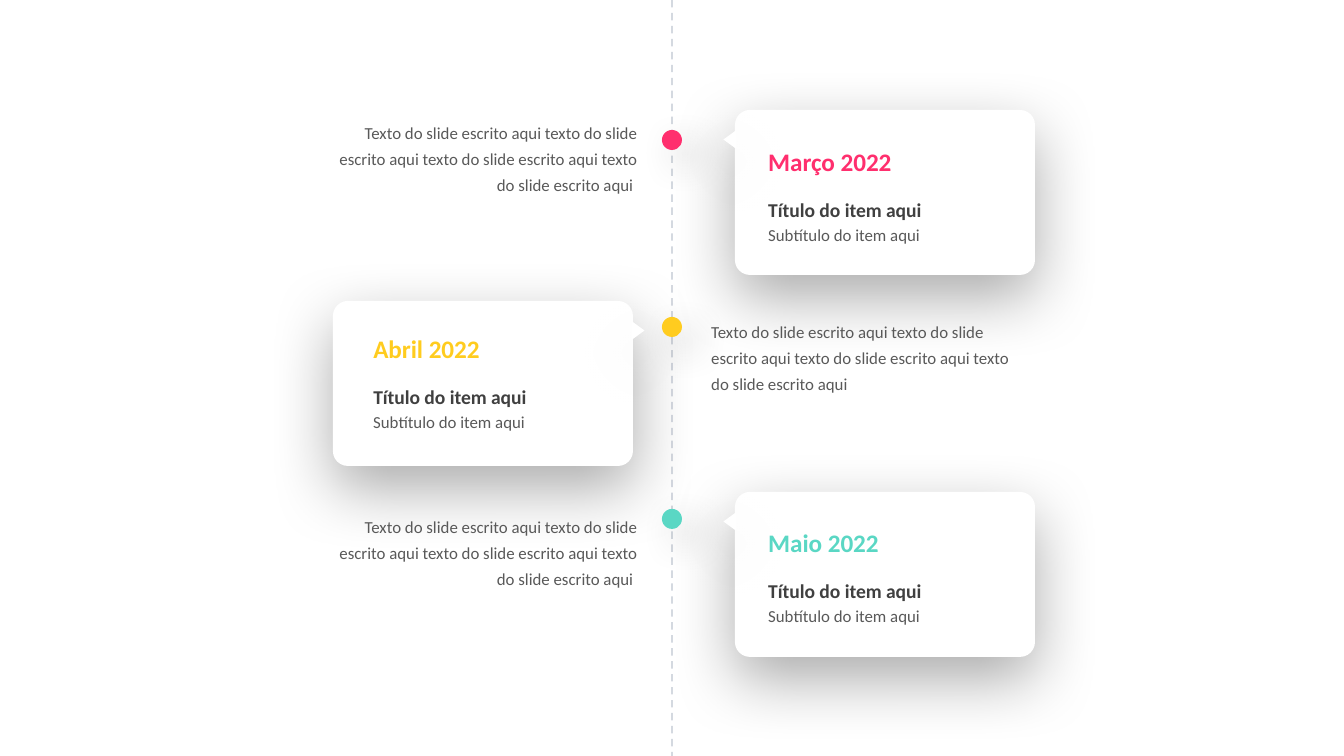
from dataclasses import dataclass

from lxml import etree
from pptx import Presentation
from pptx.dml.color import RGBColor
from pptx.enum.dml import MSO_LINE_DASH_STYLE as DASH
from pptx.enum.shapes import MSO_CONNECTOR, MSO_SHAPE
from pptx.enum.text import MSO_AUTO_SIZE, PP_ALIGN
from pptx.oxml.ns import qn
from pptx.util import Emu, Pt

SLIDE_W, SLIDE_H = 1344, 756
EMU_PER_PX = 9144000 / SLIDE_W

WHITE = RGBColor(0xFF, 0xFF, 0xFF)
NAVY = RGBColor(0x2C, 0x41, 0x66)
PINK = RGBColor(0xFF, 0x2F, 0x6E)
YELLOW = RGBColor(0xFF, 0xCC, 0x1F)
TEAL = RGBColor(0x5A, 0xD7, 0xC4)
DARK = RGBColor(0x40, 0x40, 0x40)
GRAY = RGBColor(0x59, 0x59, 0x59)

FONT = "Calibri"
AXIS_X = SLIDE_W // 2
CARD_W, CARD_H = 300, 165
POINTER_W, POINTER_H = 19, 13
DOT = 20
BODY = " ".join(["Texto do slide escrito aqui"] + ["texto do slide escrito aqui"] * 3)


@dataclass(frozen=True)
class Shadow:
    alpha: int  # percent
    blur: int  # points
    dist: int  # points
    angle: int  # degrees


@dataclass(frozen=True)
class Milestone:
    month: str
    color: RGBColor
    on_right: bool
    card_y: int
    dot_y: int
    heading_y: int
    body_y: int


CARD_SHADOW = Shadow(32, 35, 12, 90)
DOT_SHADOW = Shadow(23, 20, 10, 45)

MILESTONES = [
    Milestone("Março 2022", PINK, True, 110, 130, 140, 110),
    Milestone("Abril 2022", YELLOW, False, 301, 317, 327, 309),
    Milestone("Maio 2022", TEAL, True, 492, 509, 521, 504),
]


def px(n: float) -> Emu:
    return Emu(round(n * EMU_PER_PX))


def add_alpha(fill, percent: int) -> None:
    color = fill.find(".//" + qn("a:srgbClr"))
    etree.SubElement(color, qn("a:alpha"), val=str(percent * 1000))


def add_shape(s, kind, x: float, y: float, w: int, h: int, color: RGBColor, shadow: Shadow):
    sp = s.shapes.add_shape(kind, px(x), px(y), px(w), px(h))
    sp.fill.solid()
    sp.fill.fore_color.rgb = color
    sp.line.fill.background()
    sp.shadow.inherit = False
    effects = sp._element.spPr.find(qn("a:effectLst"))
    outer = etree.SubElement(
        effects, qn("a:outerShdw"), blurRad=str(Pt(shadow.blur)), dist=str(Pt(shadow.dist)),
        dir=str(shadow.angle * 60000), algn="ctr", rotWithShape="0")
    etree.SubElement(outer, qn("a:srgbClr"), val="000000")
    add_alpha(outer, shadow.alpha)
    return sp


def add_text(s, text: str, x: int, y: int, w: int, h: int, size: float, color: RGBColor,
             bold: bool = False, spacing: float = 1.0, align=PP_ALIGN.LEFT) -> None:
    tf = s.shapes.add_textbox(px(x), px(y), px(w), px(h)).text_frame
    tf.word_wrap = True
    tf.auto_size = MSO_AUTO_SIZE.SHAPE_TO_FIT_TEXT
    p = tf.paragraphs[0]
    p.text = text
    p.alignment = align
    p.line_spacing = spacing
    p.font.name = FONT
    p.font.size = Pt(size)
    p.font.bold = bold
    p.font.color.rgb = color


def add_card(s, m: Milestone) -> None:
    x = 735 if m.on_right else 333
    card = add_shape(s, MSO_SHAPE.ROUNDED_RECTANGLE, x, m.card_y, CARD_W, CARD_H,
                     WHITE, CARD_SHADOW)
    card.adjustments[0] = 0.09
    # Pointer on the edge facing the axis
    center_x = x - 5 if m.on_right else x + CARD_W + 5
    pointer = add_shape(s, MSO_SHAPE.ISOSCELES_TRIANGLE, center_x - POINTER_W / 2,
                        m.card_y + 23, POINTER_W, POINTER_H, WHITE, CARD_SHADOW)
    pointer.rotation = 270 if m.on_right else 90


def add_axis(s) -> None:
    line = s.shapes.add_connector(MSO_CONNECTOR.STRAIGHT, px(AXIS_X), px(0),
                                  px(AXIS_X), px(SLIDE_H))
    line.line.color.rgb = NAVY
    line.line.width = Pt(1)
    line.line.dash_style = DASH.DASH
    spPr = line._element.spPr
    add_alpha(spPr, 20)
    etree.SubElement(spPr, qn("a:effectLst"))


def add_labels(s, m: Milestone) -> None:
    x = 755 if m.on_right else 360
    add_text(s, m.month, x, m.heading_y, 261, 44, 13.5, m.color, bold=True)
    add_text(s, "Título do item aqui", x, m.heading_y + 51, 262, 38, 10.5, DARK, bold=True)
    add_text(s, "Subtítulo do item aqui", x, m.heading_y + 72, 211, 39, 9, GRAY, spacing=1.3)
    # Description on the other side of the axis
    if m.on_right:
        add_text(s, BODY + " ", 319, m.body_y, 331, 91, 9, GRAY, spacing=1.3,
                 align=PP_ALIGN.RIGHT)
    else:
        add_text(s, BODY, 698, m.body_y, 335, 91, 9, GRAY, spacing=1.3)


def main() -> None:
    prs = Presentation()
    prs.slide_width, prs.slide_height = px(SLIDE_W), px(SLIDE_H)
    s = prs.slides.add_slide(prs.slide_layouts[6])

    # Cards behind, then the axis with its dots, then the text
    for m in MILESTONES:
        add_card(s, m)
    add_axis(s)
    for m in MILESTONES:
        add_shape(s, MSO_SHAPE.OVAL, AXIS_X - DOT // 2, m.dot_y, DOT, DOT, m.color, DOT_SHADOW)
    for m in MILESTONES:
        add_labels(s, m)

    prs.save("out.pptx")


if __name__ == "__main__":
    main()
